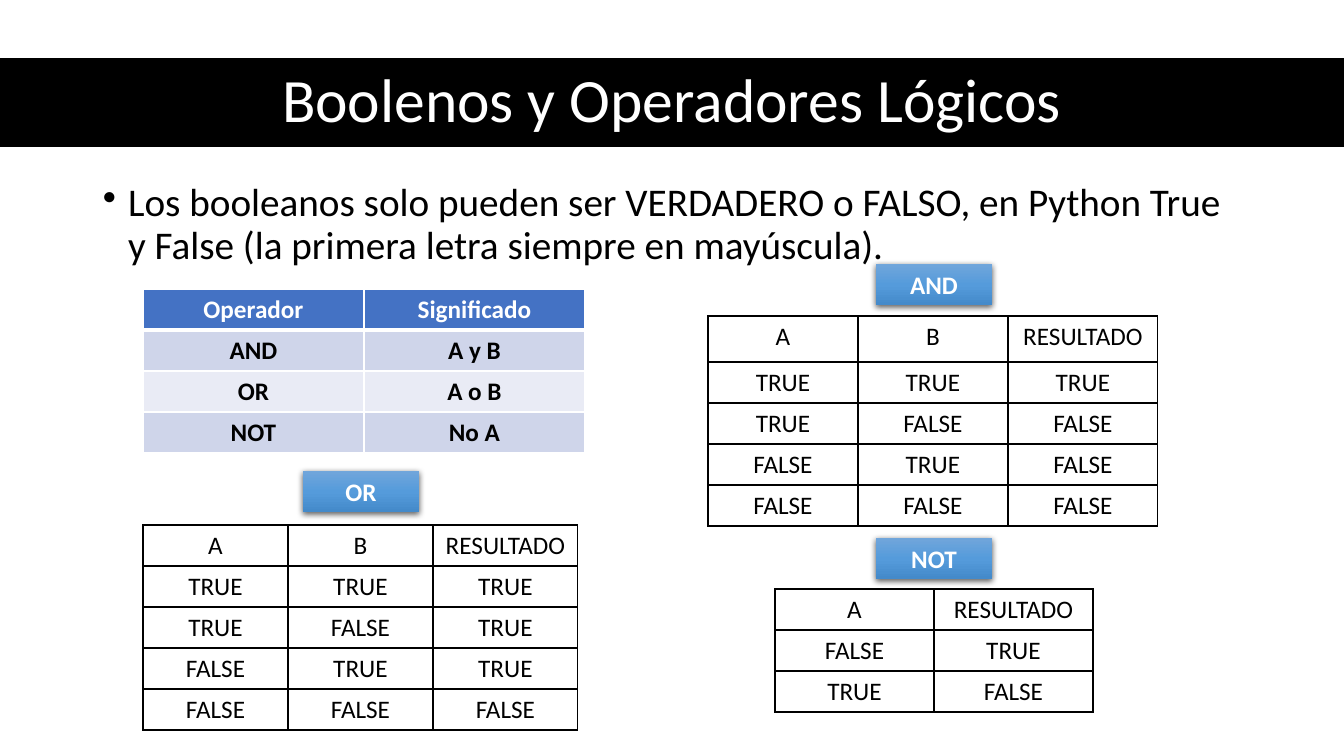
"""Build a slide on Booleans and the AND, OR and NOT truth tables."""
from dataclasses import dataclass

from pptx import Presentation, oxml, util as u
from pptx.dml.color import RGBColor
from pptx.enum import shapes, text
from pptx.oxml import ns
from pptx.slide import Slide
from pptx.table import _Cell
from pptx.text.text import _Paragraph

EMU_PER_PIXEL = 914400 / 100.8
FONT = "Calibri"
BLACK = RGBColor(0x00, 0x00, 0x00)
WHITE = RGBColor(0xFF, 0xFF, 0xFF)
HEADER_BLUE = RGBColor(0x44, 0x72, 0xC4)
BAND_DARK = RGBColor(0xCF, 0xD5, 0xEA)
BAND_LIGHT = RGBColor(0xE9, 0xEB, 0xF5)
LABEL_TOP = RGBColor(0x71, 0xA6, 0xDB)
LABEL_MIDDLE = RGBColor(0x55, 0x9B, 0xDB)
LABEL_BOTTOM = RGBColor(0x44, 0x8A, 0xCA)
ROW_HEIGHT = 41
LABEL_SIZE = (116, 41)


@dataclass(frozen=True)
class Grid:
    """A table: place, column width, first row height and the cell words."""
    left: int
    top: int
    column_width: int
    first_height: int
    rows: tuple[str, ...]
    banded: bool = False


@dataclass(frozen=True)
class Label:
    """A raised button that names a truth table."""
    left: int
    top: int
    words: str


GRIDS = (
    Grid(143, 289, 221, 41,
         ("Operador|Significado", "AND|A y B", "OR|A o B", "NOT|No A"), True),
    Grid(708, 316, 150, 46,
         ("A|B|RESULTADO", "TRUE|TRUE|TRUE", "TRUE|FALSE|FALSE",
          "FALSE|TRUE|FALSE", "FALSE|FALSE|FALSE")),
    Grid(143, 525, 145, 41,
         ("A|B|RESULTADO", "TRUE|TRUE|TRUE", "TRUE|FALSE|TRUE",
          "FALSE|TRUE|TRUE", "FALSE|FALSE|FALSE")),
    Grid(775, 589, 159, 41, ("A|RESULTADO", "FALSE|TRUE", "TRUE|FALSE")),
)
LABELS = (Label(303, 471, "OR"), Label(876, 264, "AND"), Label(876, 538, "NOT"))


def px(pixels: int) -> u.Emu:
    """Turn pixels into EMU."""
    return u.Emu(round(pixels * EMU_PER_PIXEL))


def write(para: _Paragraph, words: str, size: int, color: RGBColor,
          bold: bool = False, align: text.PP_ALIGN = text.PP_ALIGN.CENTER) -> None:
    """Fill a paragraph with words in one style."""
    para.text = words
    para.alignment = align
    font = para.font
    font.name, font.size, font.bold = FONT, u.Pt(size), bold
    font.color.rgb = color


def add_title(page: Slide) -> None:
    """Draw the black title band."""
    band = page.shapes.add_shape(shapes.MSO_SHAPE.RECTANGLE,
                                 px(0), px(58), px(1344), px(89))
    band.shadow.inherit = False
    band.fill.solid()
    band.fill.fore_color.rgb = BLACK
    band.line.fill.background()
    band.text_frame.vertical_anchor = text.MSO_ANCHOR.MIDDLE
    para = band.text_frame.paragraphs[0]
    write(para, "Boolenos y Operadores Lógicos", 44, WHITE)
    para.line_spacing = 0.9


def add_statement(page: Slide) -> None:
    """Write the bulleted statement."""
    box = page.shapes.add_textbox(px(93), px(178), px(1159), px(480))
    box.text_frame.word_wrap = True
    para = box.text_frame.paragraphs[0]
    write(para, "Los booleanos solo pueden ser VERDADERO o FALSO, en Python True "
          "y False (la primera letra siempre en mayúscula).", 28, BLACK,
          align=text.PP_ALIGN.LEFT)
    para.line_spacing, para.space_before = 0.9, u.Pt(10)
    properties = para._p.get_or_add_pPr()
    properties.set("marL", str(u.Inches(0.25)))
    properties.set("indent", str(-u.Inches(0.25)))
    bullet = oxml.parse_xml(f'<a:buChar {ns.nsdecls("a")} char="•"/>')
    properties.find(ns.qn("a:defRPr")).addprevious(bullet)


def set_borders(cell: _Cell, color: RGBColor, bottom: int) -> None:
    """Draw the four cell borders, the bottom one in its own width."""
    properties = cell._tc.get_or_add_tcPr()
    for index, side in enumerate("LRTB"):
        width = u.Pt(bottom if side == "B" else 1)
        properties.insert(index, oxml.parse_xml(
            f'<a:ln{side} {ns.nsdecls("a")} w="{width}"><a:solidFill>'
            f'<a:srgbClr val="{color}"/></a:solidFill></a:ln{side}>'))


def style_cell(cell: _Cell, words: str, row: int, banded: bool) -> None:
    """Write, fill and border one cell."""
    header = banded and row == 0
    write(cell.text_frame.paragraphs[0], words, 18, WHITE if header else BLACK, banded)
    if banded:
        cell.fill.solid()
        band = BAND_DARK if row % 2 else BAND_LIGHT
        cell.fill.fore_color.rgb = HEADER_BLUE if header else band
    else:
        cell.fill.background()
    set_borders(cell, WHITE if banded else BLACK, 3 if header else 1)


def add_grid(page: Slide, grid: Grid) -> None:
    """Draw one table."""
    rows = [row.split("|") for row in grid.rows]
    count = len(rows[0])
    height = grid.first_height + ROW_HEIGHT * (len(rows) - 1)
    table = page.shapes.add_table(len(rows), count, px(grid.left), px(grid.top),
                                  px(grid.column_width * count), px(height)).table
    table.first_row = table.horz_banding = grid.banded
    for column in table.columns:
        column.width = px(grid.column_width)
    for index, words in enumerate(rows):
        table.rows[index].height = px(ROW_HEIGHT if index else grid.first_height)
        for column, word in enumerate(words):
            style_cell(table.cell(index, column), word, index, grid.banded)


def add_label(page: Slide, label: Label) -> None:
    """Draw one gradient button with a soft shadow."""
    width, height = LABEL_SIZE
    button = page.shapes.add_shape(shapes.MSO_SHAPE.RECTANGLE, px(label.left),
                                   px(label.top), px(width), px(height))
    button.line.fill.background()
    button.shadow.inherit = False
    properties = button._element.spPr
    stops = "".join(
        f'<a:gs pos="{place * 1000}"><a:srgbClr val="{color}"/></a:gs>'
        for place, color in ((0, LABEL_TOP), (50, LABEL_MIDDLE), (100, LABEL_BOTTOM)))
    properties.find(ns.qn("a:prstGeom")).addnext(oxml.parse_xml(
        f'<a:gradFill {ns.nsdecls("a")}><a:gsLst>{stops}</a:gsLst>'
        '<a:lin ang="5400000" scaled="0"/></a:gradFill>'))
    properties.find(ns.qn("a:effectLst")).append(oxml.parse_xml(
        f'<a:outerShdw {ns.nsdecls("a")} blurRad="{u.Pt(4.5)}" dist="{u.Pt(1.5)}" '
        'dir="5400000" algn="ctr" rotWithShape="0">'
        f'<a:srgbClr val="{BLACK}"><a:alpha val="63000"/></a:srgbClr></a:outerShdw>'))
    button.text_frame.vertical_anchor = text.MSO_ANCHOR.MIDDLE
    write(button.text_frame.paragraphs[0], label.words, 18, WHITE, True)


def main() -> None:
    """Build and save the deck."""
    deck = Presentation()
    deck.slide_width, deck.slide_height = px(1344), px(756)
    page = deck.slides.add_slide(deck.slide_layouts[6])
    add_title(page)
    add_statement(page)
    for grid in GRIDS:
        add_grid(page, grid)
    for label in LABELS:
        add_label(page, label)
    deck.save("out.pptx")


main()
